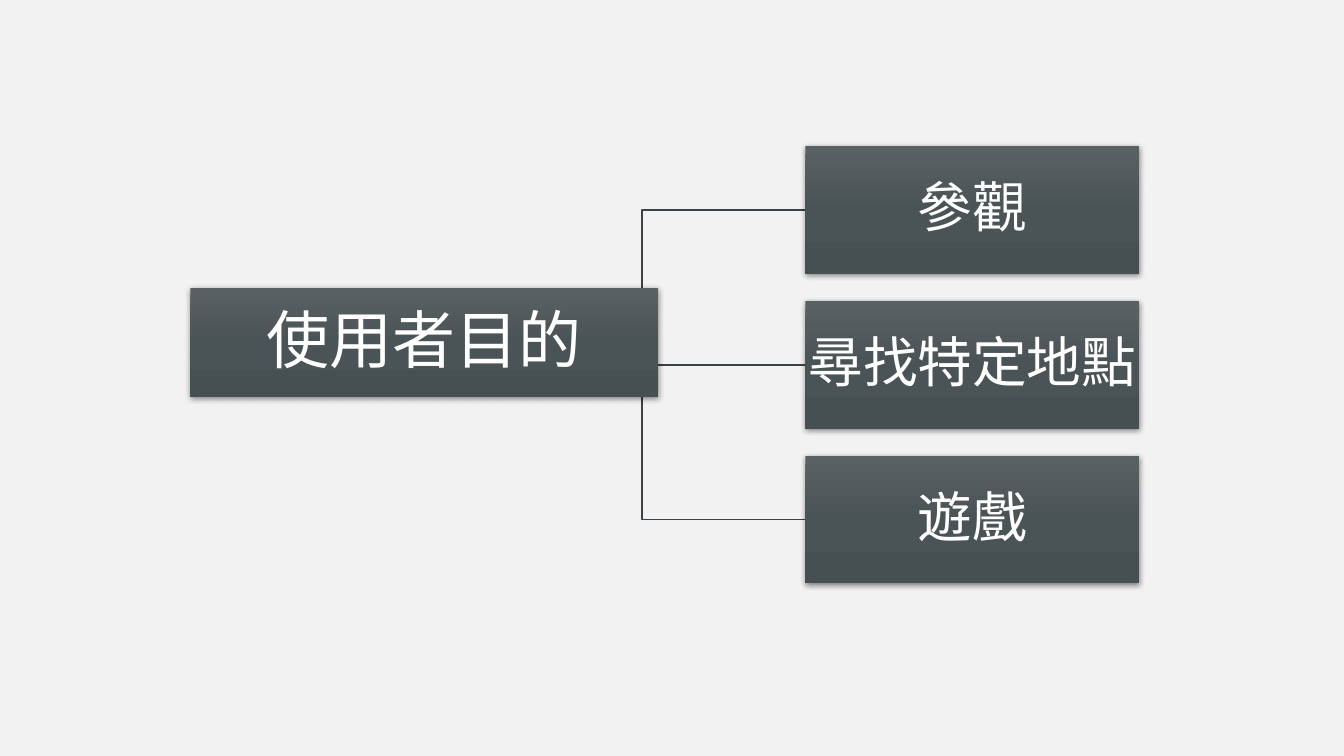
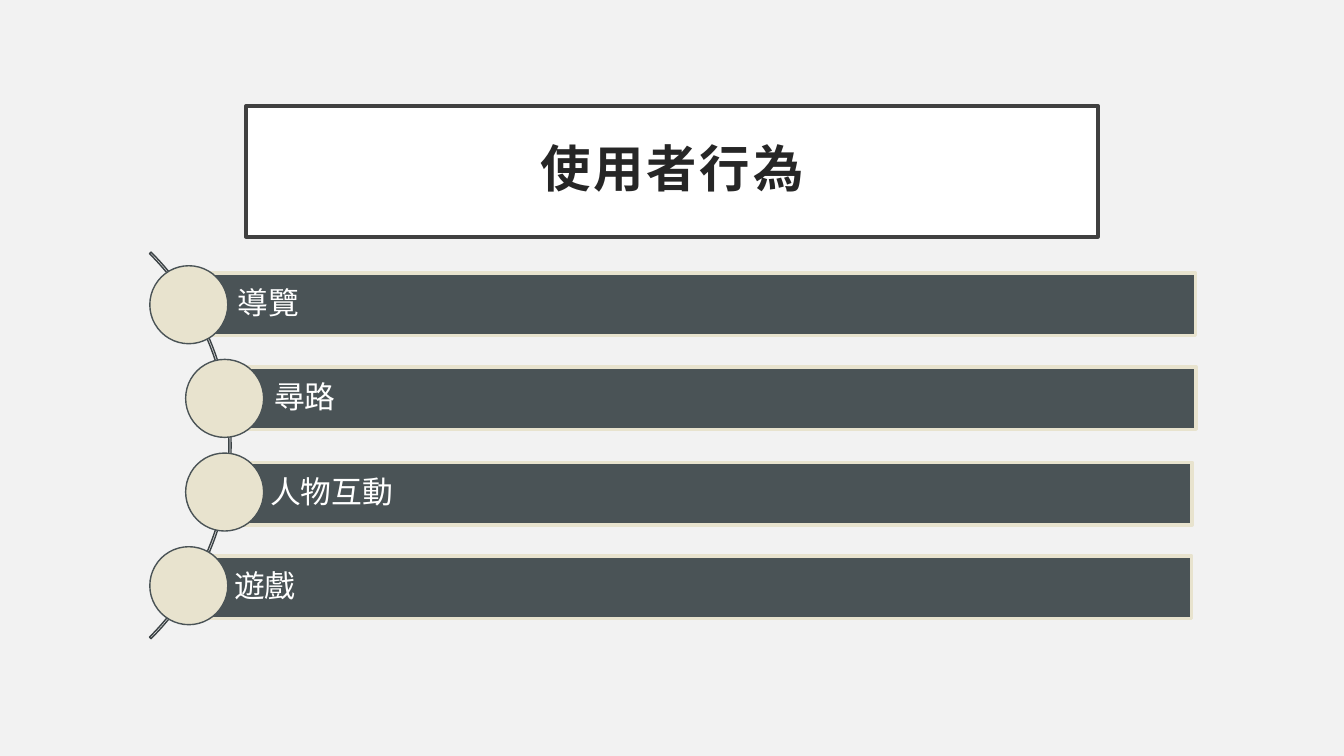
from dataclasses import dataclass

from lxml import etree
from pptx import Presentation
from pptx.dml.color import RGBColor
from pptx.enum.shapes import MSO_CONNECTOR, MSO_SHAPE
from pptx.enum.text import MSO_ANCHOR, MSO_AUTO_SIZE, PP_ALIGN
from pptx.oxml.ns import qn
from pptx.util import Pt

RECTANGLE, OVAL, BLOCK_ARC = MSO_SHAPE.RECTANGLE, MSO_SHAPE.OVAL, MSO_SHAPE.BLOCK_ARC
ELBOW = MSO_CONNECTOR.ELBOW
LEFT, CENTER = PP_ALIGN.LEFT, PP_ALIGN.CENTER
MIDDLE = MSO_ANCHOR.MIDDLE
NO_AUTOFIT = MSO_AUTO_SIZE.NONE
TITLE_ONLY_LAYOUT, BLANK_LAYOUT = 5, 6


@dataclass(frozen=True)
class Theme:
    background: str = "F2F2F2"
    white: str = "FFFFFF"
    title_text: str = "262626"
    title_border: str = "404040"
    slate: str = "4A5356"
    cream: str = "E8E3CE"
    connector: str = "3B4245"
    gradient: tuple = ((0, "5A6163"), (50, "4A5356"), (100, "465053"))
    title_font: str = "Calibri"
    tree_font: str = "Arial"
    list_font: str = "Calibri"
    title_size: int = 36
    root_size: int = 45
    leaf_size: int = 39
    list_size: int = 22
    thick: float = 2.5
    thin: float = 1


THEME = Theme()

# Tree: root box and a column of leaves
ROOT_BOX = (136.1, 205.9, 334.1, 77.8)
LEAF_LEFT, LEAF_TOP, LEAF_WIDTH, LEAF_HEIGHT = 575.3, 104.4, 238.5, 91.2
LEAF_PITCH = 110.6
LEAVES = ("參觀", "尋找特定地點", "遊戲")
CONNECTOR_START = 342

# List: circles along an arc, each with a bar (text, circle left, bar left, top, width)
CIRCLE_TOP, CIRCLE_PITCH, CIRCLE_SIZE = 189.8, 66.9, 55.7
BAR_HEIGHT = 44.6
BEHAVIOURS = (
    ("導覽", 107, 134.6, 195.1, 719.5),
    ("尋路", 132.6, 160.4, 262.1, 694),
    ("人物互動", 132.6, 157.6, 330.3, 694),
    ("遊戲", 107, 131.8, 397.2, 719.5),
)
ARC_BOX = (-225.4, 122.9, 390.5, 390.5)


def color(value):
    return RGBColor.from_string(value)


def set_line(line, value, width):
    line.color.rgb = color(value)
    line.width = Pt(width)


def add_shape(slide, kind, box, fill=None, line=None, width=THEME.thin):
    shape = slide.shapes.add_shape(kind, *map(Pt, box))
    shape.shadow.inherit = False
    if fill:
        shape.fill.solid()
        shape.fill.fore_color.rgb = color(fill)
    else:
        shape.fill.background()
    if line:
        set_line(shape.line, line, width)
    else:
        shape.line.fill.background()
    return shape


def write_text(shape, text, font, size, value, align, inset, left_inset=None):
    frame = shape.text_frame
    frame.word_wrap = True
    frame.auto_size = NO_AUTOFIT
    frame.vertical_anchor = MIDDLE
    frame.margin_top = frame.margin_bottom = frame.margin_right = Pt(inset)
    frame.margin_left = Pt(inset if left_inset is None else left_inset)
    paragraph = frame.paragraphs[0]
    paragraph.text = text
    paragraph.alignment = align
    paragraph.line_spacing = 0.9
    paragraph.font.name = font
    paragraph.font.size = Pt(size)
    paragraph.font.color.rgb = color(value)
    return paragraph


def add_color_element(parent, value):
    return etree.SubElement(parent, qn("a:srgbClr"), val=value)


def set_gradient(shape):
    shape.fill.gradient()
    shape.fill.gradient_angle = 270
    stops = shape._element.spPr.find(qn("a:gradFill")).find(qn("a:gsLst"))
    for stop in list(stops):
        stops.remove(stop)
    for position, value in THEME.gradient:
        stop = etree.SubElement(stops, qn("a:gs"), pos=str(position * 1000))
        add_color_element(stop, value)


def set_shadow(shape):
    effects = shape._element.spPr.find(qn("a:effectLst"))
    shadow = etree.SubElement(
        effects, qn("a:outerShdw"), blurRad=str(Pt(4.4)), dist=str(Pt(1.2)),
        dir="5400000", algn="ctr", rotWithShape="0")
    etree.SubElement(add_color_element(shadow, "000000"), qn("a:alpha"), val="45000")


def add_tree_box(slide, box, text, size):
    shape = add_shape(slide, RECTANGLE, box)
    set_gradient(shape)
    set_shadow(shape)
    write_text(shape, text, THEME.tree_font, size, THEME.white, CENTER, 1.5)


def add_elbow(slide, start, end):
    connector = slide.shapes.add_connector(ELBOW, *map(Pt, start + end))
    set_line(connector.line, THEME.connector, THEME.thin)
    etree.SubElement(connector._element.spPr, qn("a:effectLst"))


def set_title(slide, text, box):
    title = slide.shapes.title
    title.left, title.top, title.width, title.height = map(Pt, box)
    title.fill.solid()
    title.fill.fore_color.rgb = color(THEME.white)
    set_line(title.line, THEME.title_border, THEME.thick)
    paragraph = write_text(title, text, THEME.title_font, THEME.title_size,
                           THEME.title_text, CENTER, 14.4)
    paragraph.font.bold = True
    # Letter spacing of 2 pt
    paragraph.runs[0].font._element.set("spc", "200")


def build_purpose_slide(presentation):
    slide = presentation.slides.add_slide(presentation.slide_layouts[BLANK_LAYOUT])
    root_middle = ROOT_BOX[1] + ROOT_BOX[3] / 2
    leaf_tops = [LEAF_TOP + index * LEAF_PITCH for index in range(len(LEAVES))]
    # Connectors lie behind the boxes
    for top in leaf_tops:
        add_elbow(slide, (CONNECTOR_START, root_middle),
                  (LEAF_LEFT, top + LEAF_HEIGHT / 2))
    add_tree_box(slide, ROOT_BOX, "使用者目的", THEME.root_size)
    for top, text in zip(leaf_tops, LEAVES):
        add_tree_box(slide, (LEAF_LEFT, top, LEAF_WIDTH, LEAF_HEIGHT),
                     text, THEME.leaf_size)


def build_behaviour_slide(presentation):
    slide = presentation.slides.add_slide(presentation.slide_layouts[TITLE_ONLY_LAYOUT])
    set_title(slide, "使用者行為", (175.7, 75.6, 608.6, 93.6))
    # Thin arc from 315 to 45 degrees
    arc = add_shape(slide, BLOCK_ARC, ARC_BOX, line=THEME.connector)
    for index, value in enumerate((189, 27, 0.004)):
        arc.adjustments[index] = value
    # Bars with their circles
    for index, (text, circle_left, left, top, width) in enumerate(BEHAVIOURS):
        bar = add_shape(slide, RECTANGLE, (left, top, width, BAR_HEIGHT),
                        THEME.slate, THEME.cream, THEME.thick)
        write_text(bar, text, THEME.list_font, THEME.list_size, THEME.white,
                   LEFT, 4.4, left_inset=35.4)
        circle_top = CIRCLE_TOP + index * CIRCLE_PITCH
        add_shape(slide, OVAL, (circle_left, circle_top, CIRCLE_SIZE, CIRCLE_SIZE),
                  THEME.cream, THEME.slate)


def main():
    presentation = Presentation()
    presentation.slide_width, presentation.slide_height = Pt(960), Pt(540)
    background = presentation.slide_master.background.fill
    background.solid()
    background.fore_color.rgb = color(THEME.background)
    build_purpose_slide(presentation)
    build_behaviour_slide(presentation)
    presentation.save("out.pptx")


if __name__ == "__main__":
    main()
